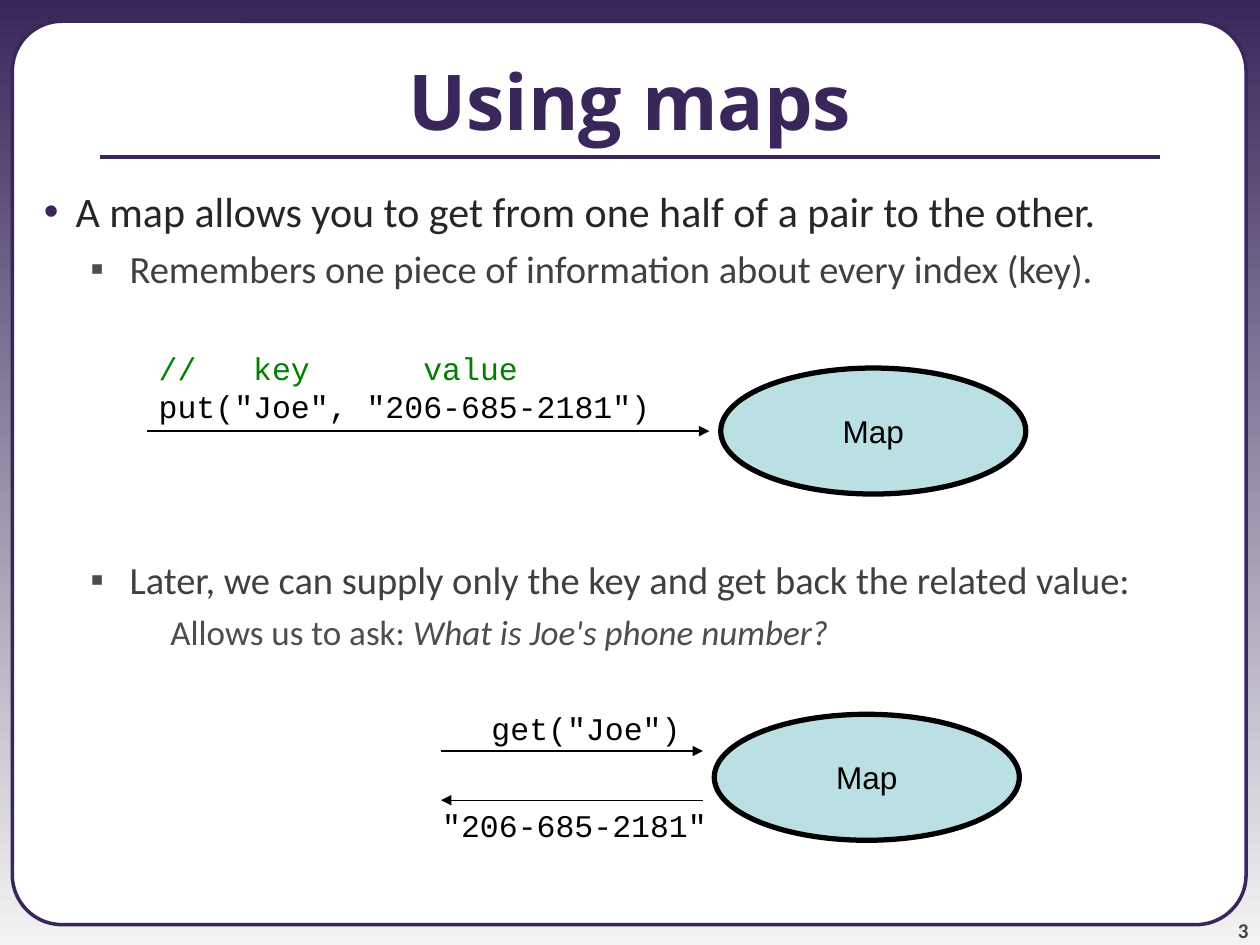
import dataclasses

import lxml.etree
import pptx
import pptx.dml.color
import pptx.enum.shapes
import pptx.enum.text
import pptx.oxml.ns
import pptx.util

Cm = pptx.util.Cm
Pt = pptx.util.Pt
Shape = pptx.enum.shapes.MSO_SHAPE
Align = pptx.enum.text.PP_ALIGN
Anchor = pptx.enum.text.MSO_ANCHOR


def rgb(code):
    return pptx.dml.color.RGBColor.from_string(code)


def add_tag(parent, tag, **attrs):
    return lxml.etree.SubElement(parent, pptx.oxml.ns.qn(tag), **attrs)


@dataclasses.dataclass(frozen=True)
class Theme:
    # Colours
    brand: str = "39275B"
    fade: str = "F3F3F3"
    paper: str = "FFFFFF"
    ink: str = "000000"
    oval: str = "BBE0E3"
    note: str = "008000"
    page: str = "424242"
    mark: str = "4D4D4D"
    levels: tuple = ("262626", "404040", "4D4D4D")
    # Type
    head: str = "Open Sans"
    body: str = "Calibri"
    plain: str = "Arial"
    code: str = "Courier New"
    head_size: int = 44
    sizes: tuple = (24, 22, 20)
    label_size: int = 18
    page_size: int = 12


class Deck:
    def __init__(self, theme):
        self.theme = theme
        self.file = pptx.Presentation()
        self.file.slide_width, self.file.slide_height = Cm(25.4), Cm(19.05)
        self.slide = self.file.slides.add_slide(self.file.slide_layouts[1])
        self.shapes = self.slide.shapes

    def style(self, par, face, size, color, bold=False):
        font = par.font
        font.name, font.size, font.bold = face, Pt(size), bold
        font.color.rgb = rgb(color)

    def place(self, holder, *box):
        """Move a placeholder and bring it in front of the frame."""
        holder.left, holder.top, holder.width, holder.height = map(Cm, box)
        self.shapes.element.append(holder.element)
        frame = holder.text_frame
        frame.auto_size = pptx.enum.text.MSO_AUTO_SIZE.NONE
        return frame

    def backdrop(self):
        fill = self.slide.background.fill
        fill.gradient()
        fill.gradient_angle = 270
        for stop, color in zip(fill.gradient_stops, (self.theme.brand, self.theme.fade)):
            stop.color.rgb = rgb(color)

    def shape(self, kind, box, fill, line, width):
        item = self.shapes.add_shape(kind, *map(Cm, box))
        item.shadow.inherit = False
        item.fill.solid()
        item.fill.fore_color.rgb = rgb(fill)
        item.line.color.rgb = rgb(line)
        item.line.width = Pt(width)
        return item

    def line(self, start, end, color, width, arrow=False):
        item = self.shapes.add_connector(
            pptx.enum.shapes.MSO_CONNECTOR.STRAIGHT, *map(Cm, start + end))
        item.line.color.rgb = rgb(color)
        item.line.width = Pt(width)
        if arrow:
            add_tag(item.line._get_or_add_ln(), "a:tailEnd", type="triangle")
        add_tag(item.element.spPr, "a:effectLst")

    def arrow(self, start, end):
        self.line(start, end, self.theme.ink, 0.75, arrow=True)

    def title(self, text):
        frame = self.place(self.shapes.title, 0, 0.43, 25.4, 3.17)
        frame.vertical_anchor = Anchor.MIDDLE
        frame.text = text
        par = frame.paragraphs[0]
        par.alignment = Align.CENTER
        self.style(par, self.theme.head, self.theme.head_size, self.theme.brand, bold=True)

    def points(self, rows):
        """Each row: level, space before, bullet, bullet colour, runs."""
        frame = self.place(self.slide.placeholders[1], 0, 3.61, 25.4, 15.44)
        indents = ((1.27, -0.64), (2.36, -0.79), (3.18, 0))
        for i, (level, space, mark, color, runs) in enumerate(rows):
            par = frame.add_paragraph() if i else frame.paragraphs[0]
            par.level = level
            par.space_before = Pt(space)
            props = par._p.get_or_add_pPr()
            left, hang = indents[level]
            props.set("marL", str(Cm(left)))
            props.set("indent", str(Cm(hang)))
            if mark:
                add_tag(add_tag(props, "a:buClr"), "a:srgbClr", val=color)
                add_tag(props, "a:buChar", char=mark)
            else:
                add_tag(props, "a:buNone")
            self.style(par, self.theme.body, self.theme.sizes[level], self.theme.levels[level])
            for text, slant in runs:
                run = par.add_run()
                run.text = text
                if slant:
                    run.font.italic = True

    def code(self, box, rows, align=Align.LEFT):
        frame = self.shapes.add_textbox(*map(Cm, box)).text_frame
        frame.word_wrap = False
        for i, (text, color) in enumerate(rows):
            par = frame.add_paragraph() if i else frame.paragraphs[0]
            par.text = text
            par.alignment = align
            self.style(par, self.theme.code, self.theme.label_size, color)

    def oval(self, left, top, text):
        theme = self.theme
        item = self.shape(Shape.OVAL, (left, top, 6.15, 2.54), theme.oval, theme.ink, 3)
        frame = item.text_frame
        frame.word_wrap = False
        frame.vertical_anchor = Anchor.MIDDLE
        frame.text = text
        par = frame.paragraphs[0]
        par.alignment = Align.CENTER
        self.style(par, theme.plain, theme.label_size, theme.ink)

    def number(self, text):
        frame = self.shapes.add_textbox(Cm(23.06), Cm(17.98), Cm(2.11), Cm(1.02)).text_frame
        frame.margin_left = frame.margin_right = frame.margin_top = frame.margin_bottom = 0
        frame.word_wrap = True
        frame.vertical_anchor = Anchor.BOTTOM
        frame.text = text
        par = frame.paragraphs[0]
        par.alignment = Align.RIGHT
        self.style(par, self.theme.body, self.theme.page_size, self.theme.page, bold=True)


def main():
    theme = Theme()
    deck = Deck(theme)

    # Backdrop, frame, page number and title rule
    deck.backdrop()
    frame = deck.shape(Shape.ROUNDED_RECTANGLE, (0.25, 0.43, 24.87, 18.21),
                       theme.paper, theme.brand, 2)
    frame.adjustments[0] = 0.055
    deck.number("3")
    deck.line((2.01, 3.17), (23.39, 3.17), theme.brand, 2.25)

    # Title and list; the wide gap leaves room for the first diagram
    deck.title("Using maps")
    deck.points([
        (0, 0, "•", theme.brand,
         [("A map allows you to get from one half of a pair to the other.", False)]),
        (1, 5.5, "▪", theme.mark,
         [("Remembers one piece of information about every index (key).", False)]),
        (1, 151, "▪", theme.mark,
         [("Later, we can supply only the key and get back the related value:", False)]),
        (2, 5, None, None,
         [("Allows us to ask: ", False), ("What is Joe's phone number?", True)]),
    ])

    # Lookup: the key goes in, the value comes back
    deck.oval(14.4, 14.4, "Map")
    deck.arrow((8.89, 15.14), (14.17, 15.14))
    deck.code((9.65, 14.17, 4.32, 1.02), [('get("Joe")', theme.ink)], Align.RIGHT)
    deck.arrow((14.17, 16.13), (8.89, 16.13))
    deck.code((8.66, 16.13, 5.84, 1.02), [('"206-685-2181"', theme.ink)], Align.RIGHT)

    # Storing a pair
    deck.oval(14.53, 7.42, "Map")
    deck.arrow((2.97, 8.69), (14.3, 8.69))
    deck.code((2.95, 6.91, 10.41, 1.78), [
        ("//   key      value", theme.note),
        ('put("Joe", "206-685-2181")', theme.ink),
    ])

    deck.file.save("out.pptx")


if __name__ == "__main__":
    main()
